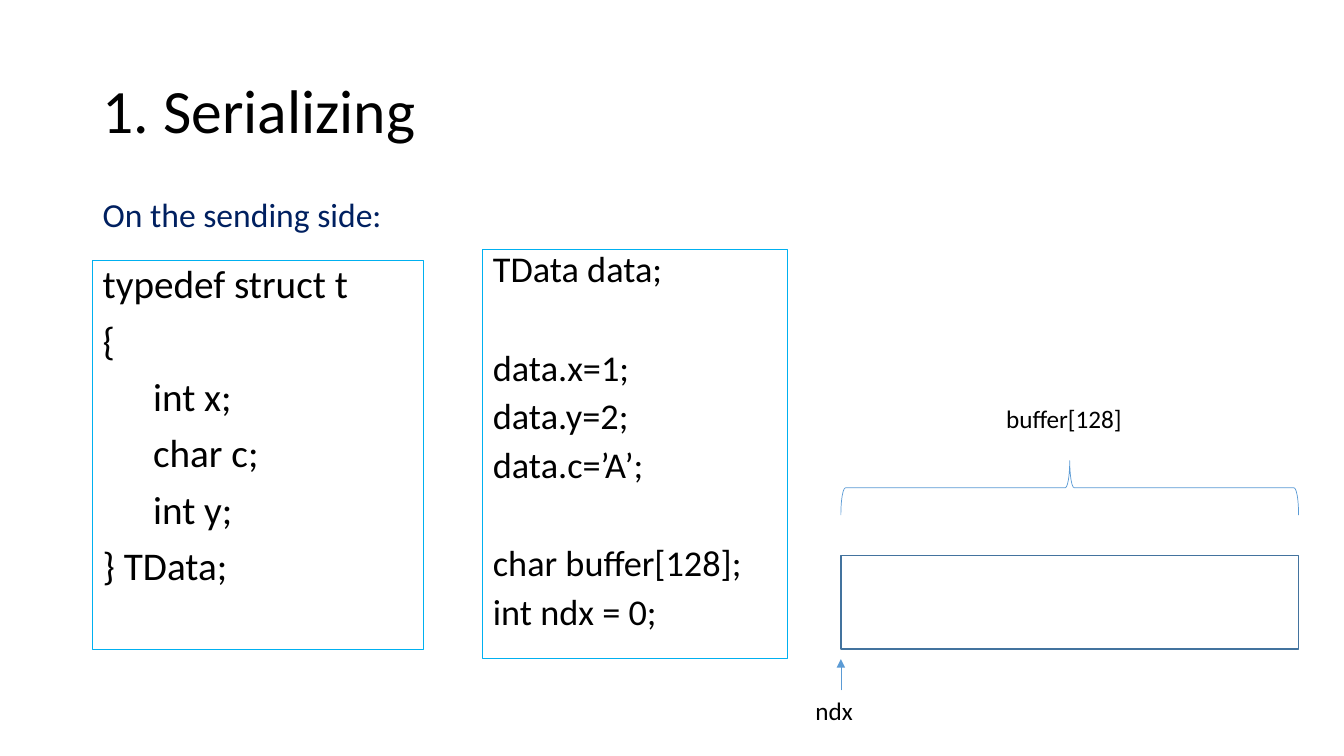
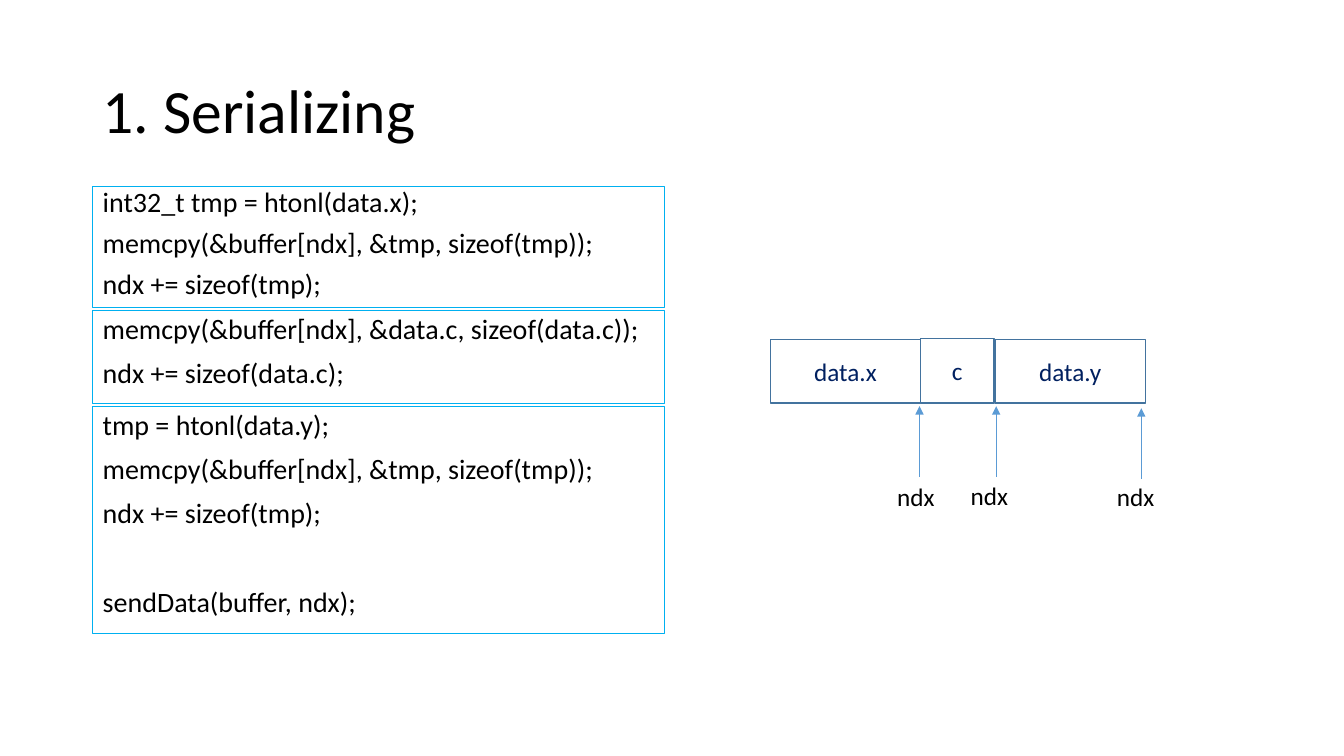
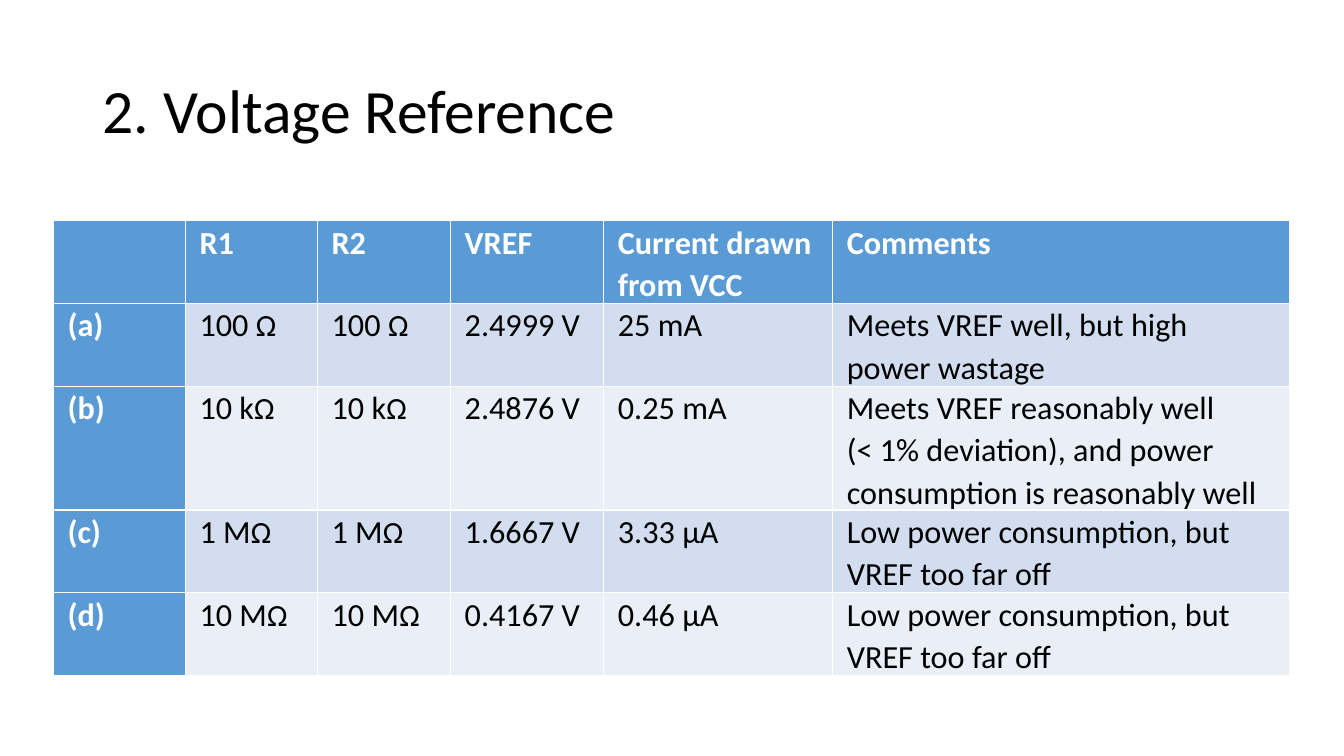
from dataclasses import dataclass

from lxml.etree import SubElement
from pptx import Presentation
from pptx.dml.color import RGBColor
from pptx.enum.shapes import MSO_CONNECTOR, MSO_SHAPE
from pptx.enum.text import MSO_ANCHOR, PP_ALIGN
from pptx.oxml.ns import qn
from pptx.util import Pt

PX = 9144


@dataclass(frozen=True)
class Theme:
    font: str = "Calibri"
    black: RGBColor = RGBColor.from_string("000000")
    white: RGBColor = RGBColor.from_string("FFFFFF")
    navy: RGBColor = RGBColor.from_string("002060")
    cyan: RGBColor = RGBColor.from_string("00B0F0")
    blue: RGBColor = RGBColor.from_string("5B9BD5")
    steel: RGBColor = RGBColor.from_string("43739E")
    band_dark: RGBColor = RGBColor.from_string("D2DEEF")
    band_light: RGBColor = RGBColor.from_string("EAEFF7")
    title: float = 44
    struct: float = 28
    code: float = 25.9
    lead: float = 24
    table: float = 23
    ohm: float = 22
    small_code: float = 20
    label: float = 18
    line_height: float = 1.22


T = Theme()


def add_box(s, box, lines=(), size=T.label, color=T.black, spacing=1.0, before=0,
            align=PP_ALIGN.LEFT, anchor=MSO_ANCHOR.TOP, line=None, width=0.75,
            fill=None, kind=MSO_SHAPE.RECTANGLE):
    place = [n * PX for n in box]
    if line is None:
        sp = s.shapes.add_textbox(*place)
    else:
        sp = s.shapes.add_shape(kind, *place)
        sp.shadow.inherit = False
        sp.line.color.rgb = line
        sp.line.width = Pt(width)
        if fill is None:
            sp.fill.background()
        else:
            sp.fill.solid()
            sp.fill.fore_color.rgb = fill
    tf = sp.text_frame
    tf.word_wrap = True
    tf.vertical_anchor = anchor
    p, gap = None, before
    for text in lines:
        if not text:
            gap += before + size * T.line_height * spacing
            continue
        p = tf.paragraphs[0] if p is None else tf.add_paragraph()
        p.text = text
        p.alignment = align
        p.line_spacing = spacing
        p.space_before = Pt(gap)
        p.font.name = T.font
        p.font.size = Pt(size)
        p.font.color.rgb = color
        gap = before
    return sp


def add_arrow(s, x, y, tip):
    c = s.shapes.add_connector(MSO_CONNECTOR.STRAIGHT, x * PX, y * PX, x * PX, tip * PX)
    c.line.color.rgb = T.blue
    c.line.width = Pt(0.5)
    SubElement(c.line._get_or_add_ln(), qn("a:tailEnd"), type="triangle")
    SubElement(c._element.spPr, qn("a:effectLst"))


prs = Presentation()
prs.slide_width = 1333 * PX
prs.slide_height = 750 * PX

slides = []
for title in ("1. Serializing", "1. Serializing", "2. Voltage Reference"):
    s = prs.slides.add_slide(prs.slide_layouts[6])
    add_box(s, (92, 40, 1150, 145), [title], T.title, spacing=0.9, anchor=MSO_ANCHOR.MIDDLE)
    slides.append(s)
declare, pack, voltage = slides

add_box(declare, (92, 185, 299, 51), ["On the sending side:"], T.lead, T.navy,
        spacing=1.07, align=PP_ALIGN.JUSTIFY)
struct = ["typedef struct t", "{", "\tint x;", "\tchar c;", "\tint y;", "} TData;"]
add_box(declare, (92, 258, 328, 386), struct, T.struct, spacing=0.9, before=10, line=T.cyan)
setup = ["TData data;", "", "data.x=1;", "data.y=2;", "data.c=’A’;", "",
         "char buffer[128];", "int ndx = 0;"]
add_box(declare, (479, 248, 302, 405), setup, T.code, spacing=0.8, before=10, line=T.cyan)
add_box(declare, (834, 551, 454, 93), line=T.steel, width=1, fill=T.white)
brace = add_box(declare, (1034, 257, 54, 454), line=T.blue, width=0.5,
                kind=MSO_SHAPE.RIGHT_BRACE)
brace.rotation = 270
add_box(declare, (988, 395, 149, 40), ["buffer[128]"])
add_arrow(declare, 834, 685, 654)
add_box(declare, (799, 685, 70, 40), ["ndx"])

steps = [
    (185, 120, 0.8, ["int32_t tmp = htonl(data.x);",
                     "memcpy(&buffer[ndx], &tmp, sizeof(tmp));",
                     "ndx += sizeof(tmp);"]),
    (308, 92, 0.9, ["memcpy(&buffer[ndx], &data.c, sizeof(data.c));",
                    "ndx += sizeof(data.c);"]),
    (403, 226, 0.9, ["tmp = htonl(data.y);",
                     "memcpy(&buffer[ndx], &tmp, sizeof(tmp));",
                     "ndx += sizeof(tmp);", "", "sendData(buffer, ndx);"]),
]
for top, height, spacing, code in steps:
    add_box(pack, (92, top, 567, height), code, T.small_code, spacing=spacing,
            before=10, line=T.cyan)

fields = [
    ("data.x", (764, 337, 149, 63), 912, 403, (880, 473, 68, 40)),
    ("c", (913, 336, 73, 64), 988, 403, (953, 472, 73, 40)),
    ("data.y", (987, 337, 149, 63), 1132, 405, (1098, 473, 73, 40)),
]
for name, box, x, tip, label in fields:
    add_box(pack, box, [name], color=T.navy, align=PP_ALIGN.CENTER,
            anchor=MSO_ANCHOR.MIDDLE, line=T.steel, width=1, fill=T.white)
    add_arrow(pack, x, tip + 70, tip)
    add_box(pack, label, ["ndx"])

rows = [
    ("", "R1", "R2", "VREF", "Current drawn from VCC", "Comments"),
    ("(a)", "100 Ω", "100 Ω", "2.4999 V", "25 mA",
     "Meets VREF well, but high power wastage"),
    ("(b)", "10 kΩ", "10 kΩ", "2.4876 V", "0.25 mA",
     "Meets VREF reasonably well \v(< 1% deviation), and power consumption is reasonably well"),
    ("(c)", "1 MΩ", "1 MΩ", "1.6667 V", "3.33 μA",
     "Low power consumption, but VREF too far off"),
    ("(d)", "10 MΩ", "10 MΩ", "0.4167 V", "0.46 μA",
     "Low power consumption, but VREF too far off"),
]
widths = [131, 131, 132, 152, 227, 453]
heights = [82, 82, 122, 82, 82]
table = voltage.shapes.add_table(len(rows), len(widths), 53 * PX, 219 * PX,
                                 sum(widths) * PX, sum(heights) * PX).table
table.first_col = True
for column, width in zip(table.columns, widths):
    column.width = width * PX
for i, (row, height) in enumerate(zip(rows, heights)):
    table.rows[i].height = height * PX
    for j, text in enumerate(row):
        header = i == 0 or j == 0
        cell = table.cell(i, j)
        cell.margin_left = cell.margin_right = 14 * PX
        cell.margin_top = cell.margin_bottom = 0
        cell.fill.solid()
        band = T.band_dark if i % 2 else T.band_light
        cell.fill.fore_color.rgb = T.blue if header else band
        p = cell.text_frame.paragraphs[0]
        p.text = text.removesuffix("Ω")
        p.line_spacing = 1.07
        p.font.name = T.font
        p.font.size = Pt(T.table)
        p.font.bold = header
        p.font.color.rgb = T.white if header else T.black
        if text.endswith("Ω"):
            r = p.add_run()
            r.text = "Ω"
            r.font.size = Pt(T.ohm)

prs.save("out.pptx")
